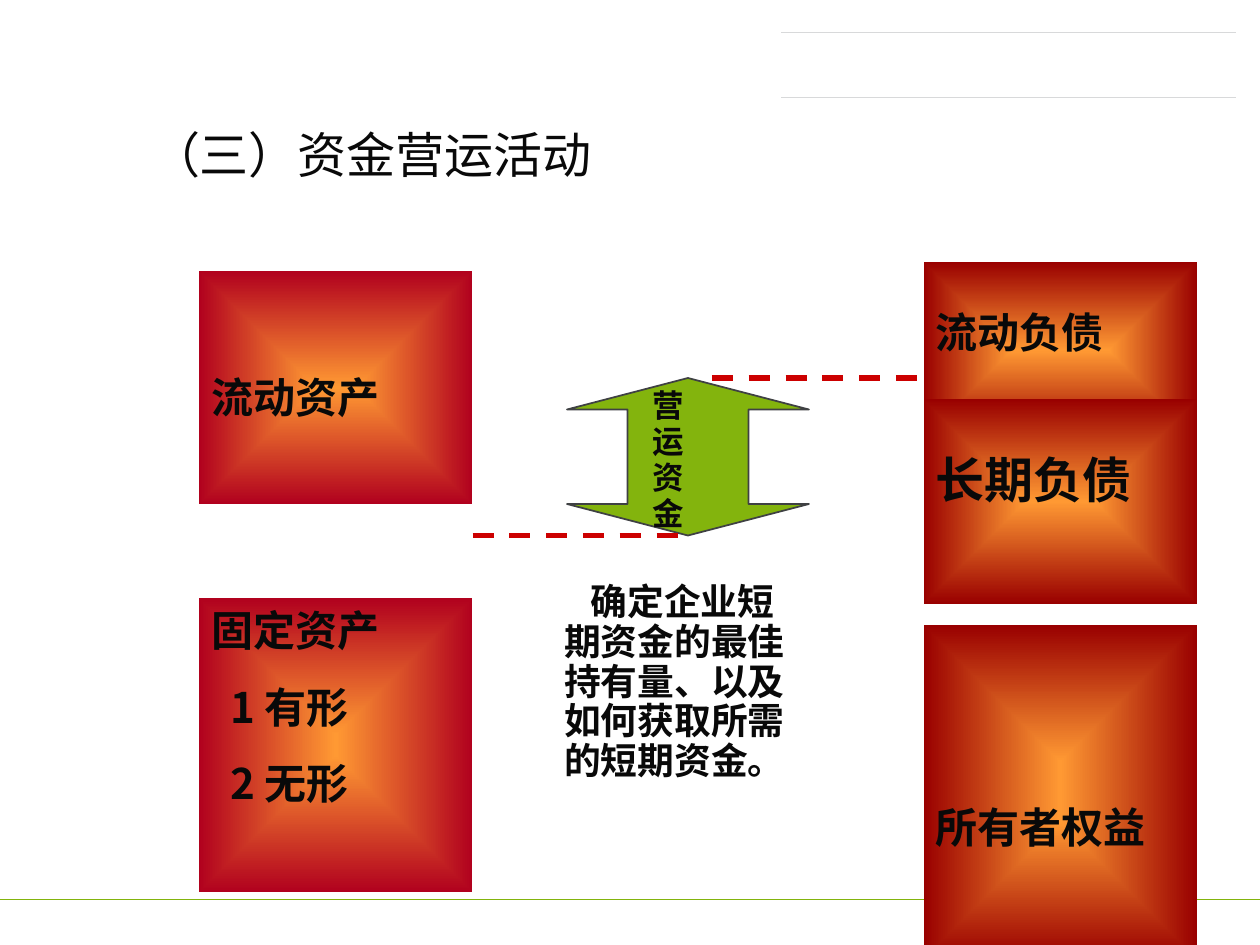
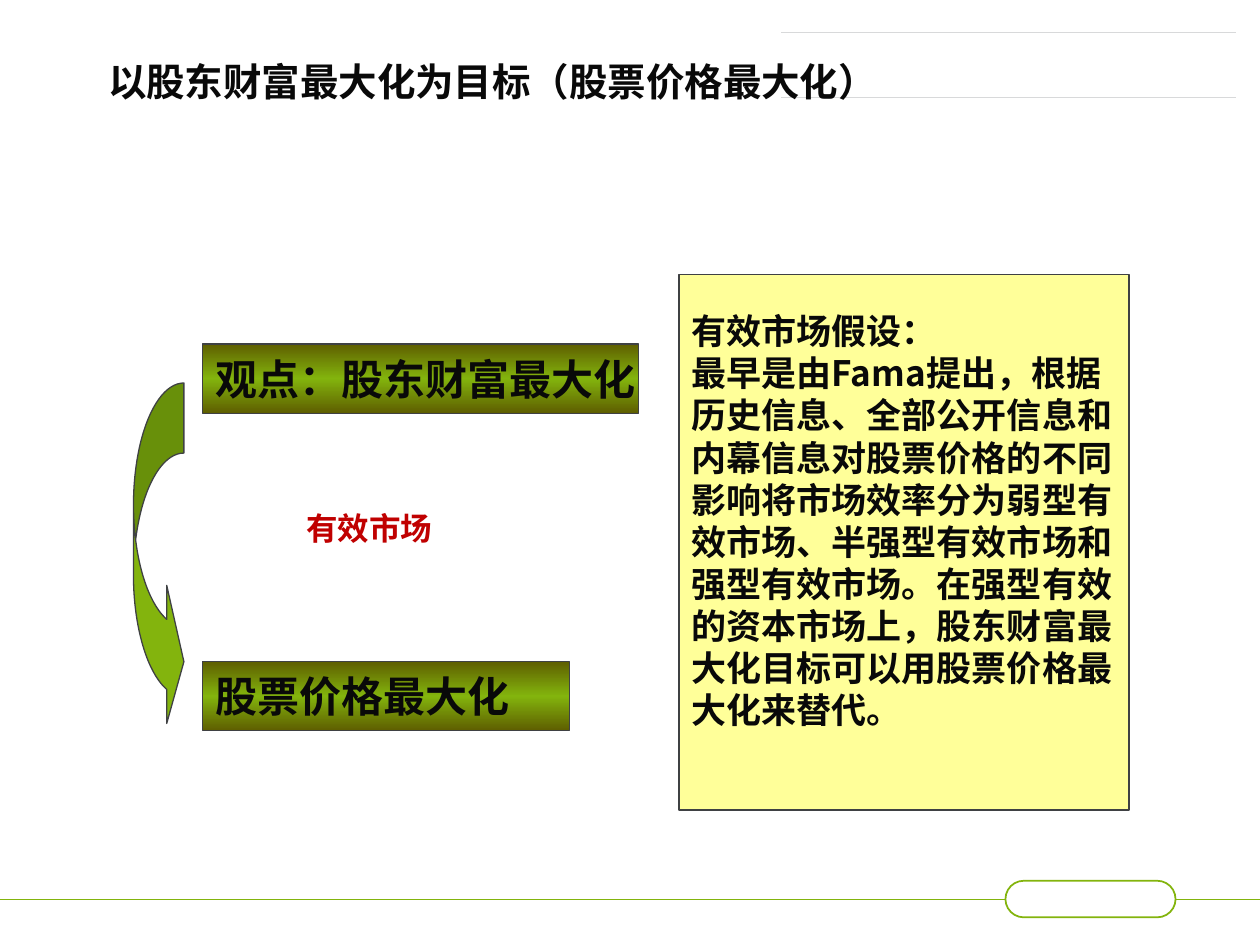
from dataclasses import dataclass

from pptx import Presentation
from pptx.dml.color import RGBColor
from pptx.enum.dml import MSO_LINE
from pptx.enum.shapes import MSO_CONNECTOR as Connector, MSO_SHAPE as Shape
from pptx.enum.text import MSO_ANCHOR as Anchor, PP_ALIGN as Align
from pptx.oxml import parse_xml
from pptx.oxml.ns import nsdecls, qn
from pptx.util import Inches, Pt


@dataclass(frozen=True)
class Theme:
    ink: str = "090909"
    green: str = "83B40D"
    olive: str = "5E5E00"
    outline: str = "3F4143"
    rule: str = "D8D9DA"
    orange: str = "FF9933"
    asset: str = "B1011E"
    claim: str = "990000"
    dash: str = "CC0000"
    accent: str = "C00000"
    note: str = "FFFF99"
    cjk: str = "Noto Sans CJK SC"
    latin: str = "Lato"
    heading_font: str = "Arial"
    large: int = 28
    body: int = 24
    heading: int = 22
    remark: int = 21
    note_size: int = 20
    small: int = 18
    leading: float = 1.2
    tight: float = 1.08


THEME = Theme()

# Slide 1: (left, top, width, height), edge colour, text size, top inset, lines
OPERATIONS_TITLE = "（三）资金营运活动"
BALANCE_SHEET = [
    ((1.58, 2.15, 2.17, 1.85), THEME.asset, THEME.body, 0.8, ["流动资产"]),
    ((1.58, 4.75, 2.17, 2.33), THEME.asset, THEME.body, 0.05,
     ["固定资产", "1 有形", "2 无形"]),
    ((7.33, 4.96, 2.17, 2.65), THEME.claim, THEME.body, 1.4, ["所有者权益"]),
    ((7.33, 2.08, 2.17, 1.4), THEME.claim, THEME.body, 0.35, ["流动负债"]),
    ((7.33, 3.17, 2.17, 1.62), THEME.claim, THEME.large, 0.4, ["长期负债"]),
]
WORKING_CAPITAL = "营运资金"
CAPITAL_ARROW = (4.5, 3, 1.92, 1.25)
CAPITAL_LIMITS = [(5.65, 7.67, 3), (3.75, 5.4, 4.25)]
CAPITAL_REMARK = "确定企业短期资金的最佳持有量、以及如何获取所需的短期资金。"

# Slide 2
WEALTH_TITLE = "以股东财富最大化为目标（股票价格最大化）"
GOALS = [
    ((1.61, 2.73, 3.46, 0.55), "观点：股东财富最大化"),
    ((1.61, 5.25, 2.91, 0.55), "股票价格最大化"),
]
MARKET_LABEL = "有效市场"
HYPOTHESIS = [
    "有效市场假设：",
    "最早是由Fama提出，根据历史信息、全部公开信息和内幕信息对股票价格的不同影响"
    "将市场效率分为弱型有效市场、半强型有效市场和强型有效市场。在强型有效的资本"
    "市场上，股东财富最大化目标可以用股票价格最大化来替代。",
]

# Shared frame
CAPSULE = (7.98, 6.99, 1.35, 0.29)
HEADER_RULES = [0.26, 0.77]


def color(value):
    return RGBColor.from_string(value)


def write(shape, lines, size, top=0.05, anchor=Anchor.TOP, wrap=True, bold=True,
          ink=THEME.ink, latin=THEME.cjk, leading=THEME.leading, gap=0,
          align=Align.LEFT):
    """Fill a shape with one run per paragraph at a fixed line height."""
    frame = shape.text_frame
    frame.word_wrap = wrap
    frame.vertical_anchor = anchor
    frame.margin_left = frame.margin_right = Inches(0.1)
    frame.margin_top, frame.margin_bottom = Inches(top), Inches(0.05)
    for index, line in enumerate(lines):
        paragraph = frame.paragraphs[0] if index == 0 else frame.add_paragraph()
        paragraph.alignment = align
        paragraph.line_spacing = Pt(round(size * leading, 1))
        paragraph.space_before = Pt(gap if index else 0)
        run = paragraph.add_run()
        run.text = line
        font = run.font
        font.size, font.bold, font.name = Pt(size), bold, latin
        font.color.rgb = color(ink)
        run._r.get_or_add_rPr().find(qn("a:latin")).addnext(
            parse_xml(f'<a:ea {nsdecls("a")} typeface="{THEME.cjk}"/>'))
    return frame.paragraphs


def add_text(slide, box, lines, size, **style):
    return write(slide.shapes.add_textbox(*map(Inches, box)), lines, size, **style)


def add_block(slide, preset, box, fill=None, line=None, width=0.75):
    block = slide.shapes.add_shape(preset, *map(Inches, box))
    block.shadow.inherit = False
    if fill:
        block.fill.solid()
        block.fill.fore_color.rgb = color(fill)
    else:
        block.fill.background()
    if line:
        block.line.color.rgb = color(line)
        block.line.width = Pt(width)
    else:
        block.line.fill.background()
    return block


def set_guides(block, *values):
    """Write the preset's guides by name: adj1, adj2 and so on."""
    guides = "".join(
        f'<a:gd name="adj{i}" fmla="val {round(100000 * value)}"/>'
        for i, value in enumerate(values, 1))
    old = block._element.spPr.find(qn("a:prstGeom")).find(qn("a:avLst"))
    old.getparent().replace(
        old, parse_xml(f'<a:avLst {nsdecls("a")}>{guides}</a:avLst>'))


def set_gradient(block, colors, direction):
    """Spread the colours evenly along the given gradient direction."""
    stops = "".join(
        f'<a:gs pos="{100000 * i // (len(colors) - 1)}"><a:srgbClr val="{c}"/></a:gs>'
        for i, c in enumerate(colors))
    old = block._element.spPr.find(qn("a:noFill"))
    old.getparent().replace(old, parse_xml(
        f'<a:gradFill {nsdecls("a")} rotWithShape="1">'
        f'<a:gsLst>{stops}</a:gsLst>{direction}</a:gradFill>'))


FROM_CENTER = ('<a:path path="rect"><a:fillToRect l="50000" t="50000" '
               'r="50000" b="50000"/></a:path>')
DOWNWARD = '<a:lin ang="5400000" scaled="1"/>'


def add_rule(slide, left, right, y, stroke, width=0.5):
    rule = slide.shapes.add_connector(
        Connector.STRAIGHT, Inches(left), Inches(y), Inches(right), Inches(y))
    rule.line.color.rgb = color(stroke)
    rule.line.width = Pt(width)
    rule._element.spPr.append(parse_xml(f'<a:effectLst {nsdecls("a")}/>'))
    return rule


def add_framed_slide(deck):
    """Blank slide with the header rules and the footer line with its capsule."""
    slide = deck.slides.add_slide(deck.slide_layouts[6])
    capsule = add_block(slide, Shape.ROUNDED_RECTANGLE, CAPSULE,
                        line=THEME.green, width=1)
    capsule.adjustments[0] = 0.5
    for y in HEADER_RULES:
        add_rule(slide, 6.2, 9.81, y, THEME.rule)
    left, top, width, height = CAPSULE
    middle = top + height / 2
    add_rule(slide, 0, left, middle, THEME.green).end_connect(capsule, 1)
    add_rule(slide, left + width, 10, middle, THEME.green).begin_connect(capsule, 3)
    return slide


def build_operations(deck):
    slide = add_framed_slide(deck)
    add_text(slide, (1.1, 0.74, 7.79, 1.01), [OPERATIONS_TITLE], THEME.large,
             anchor=Anchor.MIDDLE, bold=False, leading=THEME.tight)

    # Working capital arrow between its two limits
    arrow = add_block(slide, Shape.UP_DOWN_ARROW, CAPITAL_ARROW, THEME.green,
                      THEME.outline, 1)
    set_guides(arrow, 0.5, 0.2)
    for left, right, y in CAPITAL_LIMITS:
        limit = add_rule(slide, left, right, y, THEME.dash, 3)
        limit.line.dash_style = MSO_LINE.DASH

    remark = add_text(slide, (4.17, 4.58, 2.33, 2.21), [CAPITAL_REMARK],
                      THEME.remark, leading=THEME.tight)[0]
    indent = remark._p.get_or_add_pPr()
    for side in ("marL", "indent"):
        indent.set(side, str(Inches(0.21)))
    add_text(slide, (5.08, 3.03, 1.07, 1.21), list(WORKING_CAPITAL), THEME.small,
             leading=1.14)

    # Balance sheet: assets on the left, claims on the right
    for box, edge, size, top, lines in BALANCE_SHEET:
        block = add_block(slide, Shape.RECTANGLE, box)
        set_gradient(block, [THEME.orange, edge], FROM_CENTER)
        _, *items = write(block, lines, size, top=top, gap=15)
        for item in items:
            item._p.get_or_add_pPr().set("marL", str(Inches(0.15)))


def build_wealth(deck):
    slide = add_framed_slide(deck)
    add_text(slide, (0.76, 0.37, 7.47, 0.51), [WEALTH_TITLE], THEME.heading,
             anchor=Anchor.BOTTOM, latin=THEME.heading_font, leading=THEME.tight)

    # Two goals joined by the curved arrow
    for box, goal in GOALS:
        bar = add_block(slide, Shape.RECTANGLE, box, line=THEME.outline)
        set_gradient(bar, [THEME.olive, THEME.green, THEME.olive], DOWNWARD)
        write(bar, [goal], THEME.body, anchor=Anchor.MIDDLE, wrap=False,
              latin=THEME.latin)
    add_text(slide, (1.93, 3.99, 2, 0.39), [MARKET_LABEL], THEME.small,
             wrap=False, ink=THEME.accent, align=Align.CENTER)
    turn = add_block(slide, Shape.CURVED_RIGHT_ARROW, (1.06, 3.04, 0.4, 2.76),
                     THEME.green, THEME.outline)
    set_guides(turn, 1.39, 2.74, 0.34)

    # Efficient market note
    note = add_block(slide, Shape.RECTANGLE, (5.39, 2.18, 3.57, 4.25),
                     THEME.note, THEME.outline)
    write(note, HYPOTHESIS, THEME.note_size, top=0.28)


def main():
    deck = Presentation()
    deck.slide_width, deck.slide_height = Inches(10), Inches(7.5)
    build_operations(deck)
    build_wealth(deck)
    deck.save("out.pptx")


if __name__ == "__main__":
    main()
